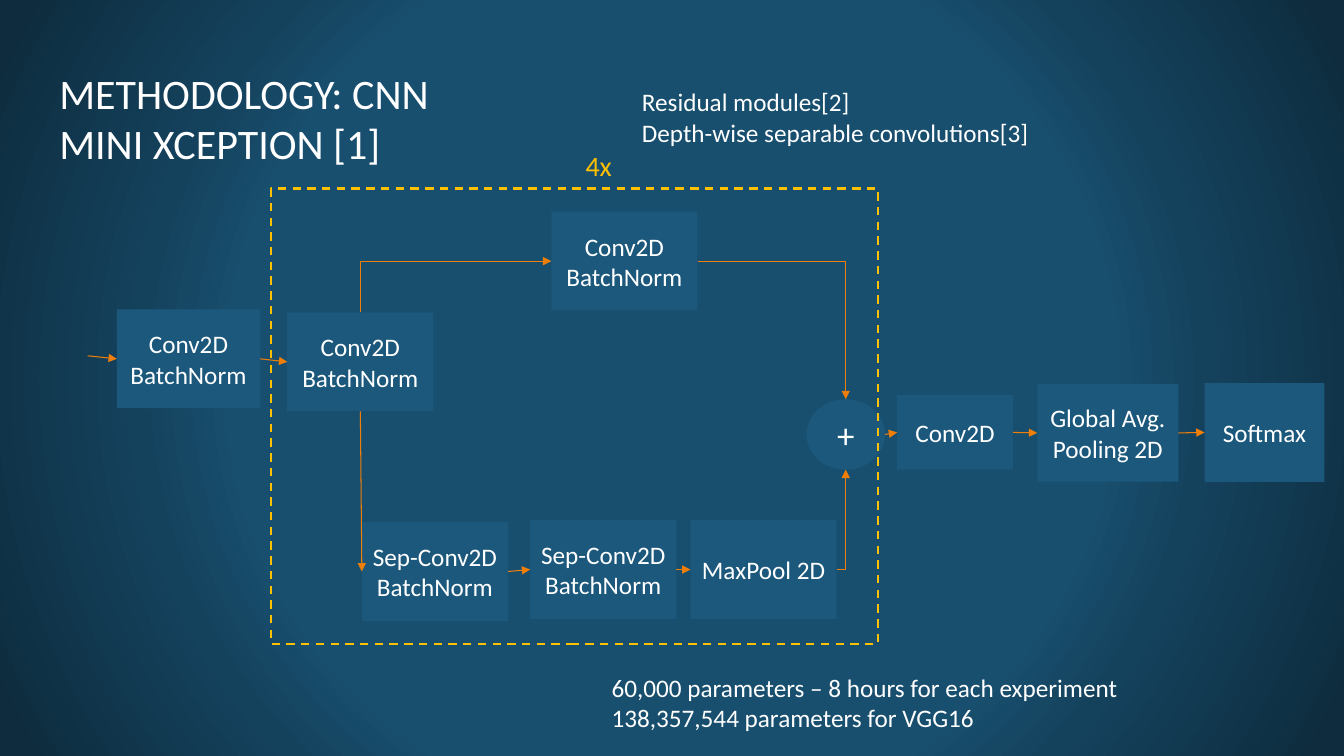
import pptx
import pptx.dml.color
import pptx.enum.dml
import pptx.enum.shapes
import pptx.enum.text
import pptx.oxml
import pptx.oxml.ns
import pptx.util

COLORS = {
    "text": "FFFFFF",
    "block": "1B587C",
    "arrow": "F07F09",
    "accent": "FFC000",
}
BACKGROUND_STOPS = [(0, "184E6E"), (57, "184E6E"), (69, "14425D"), (97, "0E2C3E")]
COLUMNS, ROWS = 133.33, 75

SHAPES = pptx.enum.shapes.MSO_SHAPE
ALIGN = pptx.enum.text.PP_ALIGN
ANCHOR = pptx.enum.text.MSO_ANCHOR
qn = pptx.oxml.ns.qn


def rgb(name):
    return pptx.dml.color.RGBColor.from_string(COLORS[name])


def side(shape, name):
    """Middle of one side of a shape, as (x, y)."""
    middle_x = shape.left + shape.width // 2
    middle_y = shape.top + shape.height // 2
    return {
        "top": (middle_x, shape.top),
        "bottom": (middle_x, shape.top + shape.height),
        "left": (shape.left, middle_y),
        "right": (shape.left + shape.width, middle_y),
    }[name]


class Diagram:
    font = "Calibri"
    body_size = 18

    def __init__(self, presentation):
        self.slide = presentation.slides.add_slide(presentation.slide_layouts[6])
        self.column = presentation.slide_width / COLUMNS
        self.row = presentation.slide_height / ROWS

    def place(self, column, row):
        return round(column * self.column), round(row * self.row)

    def background(self, stops):
        """Radial gradient spreading from the centre of the slide."""
        fill = self.slide.background.fill
        fill.gradient()
        gradient = self.slide.element.find(".//" + qn("a:gradFill"))
        for child in list(gradient):
            gradient.remove(child)
        stop_xml = "".join(
            f'<a:gs pos="{share * 1000}"><a:srgbClr val="{color}"/></a:gs>'
            for share, color in stops
        )
        namespace = pptx.oxml.ns.nsdecls("a")
        gradient.append(pptx.oxml.parse_xml(f"<a:gsLst {namespace}>{stop_xml}</a:gsLst>"))
        gradient.append(pptx.oxml.parse_xml(
            f'<a:path {namespace} path="circle">'
            '<a:fillToRect l="50000" t="50000" r="50000" b="50000"/></a:path>'
        ))

    def add_lines(self, frame, lines, size, color="text", align=ALIGN.LEFT, anchor=ANCHOR.TOP):
        frame.word_wrap = True
        frame.vertical_anchor = anchor
        for index, line in enumerate(lines):
            paragraph = frame.paragraphs[0] if index == 0 else frame.add_paragraph()
            paragraph.alignment = align
            for part, words in enumerate(line.split("\n")):
                if part:
                    paragraph.add_line_break()
                run = paragraph.add_run()
                run.text = words
                run.font.name = self.font
                run.font.size = pptx.util.Pt(size)
                run.font.color.rgb = rgb(color)

    def text(self, column, row, width, height, *lines, size=body_size, **style):
        box = self.slide.shapes.add_textbox(*self.place(column, row), *self.place(width, height))
        self.add_lines(box.text_frame, lines, size, **style)

    def block(self, column, row, width, height, *lines, kind=SHAPES.RECTANGLE, size=body_size):
        shape = self.slide.shapes.add_shape(
            kind, *self.place(column, row), *self.place(width, height)
        )
        shape.shadow.inherit = False
        shape.fill.solid()
        shape.fill.fore_color.rgb = rgb("block")
        shape.line.fill.background()
        self.add_lines(shape.text_frame, lines, size, align=ALIGN.CENTER, anchor=ANCHOR.MIDDLE)
        return shape

    def frame(self, column, row, width, height):
        shape = self.slide.shapes.add_shape(
            SHAPES.RECTANGLE, *self.place(column, row), *self.place(width, height)
        )
        shape.shadow.inherit = False
        shape.fill.background()
        shape.line.color.rgb = rgb("accent")
        shape.line.width = pptx.util.Pt(1.5)
        shape.line.dash_style = pptx.enum.dml.MSO_LINE.DASH

    def arrow(self, start, end, kind=pptx.enum.shapes.MSO_CONNECTOR.STRAIGHT):
        connector = self.slide.shapes.add_connector(kind, *start, *end)
        connector.line.color.rgb = rgb("arrow")
        connector.line.width = pptx.util.Pt(0.75)
        properties = connector.element.spPr
        line = properties.find(qn("a:ln"))
        line.append(line.makeelement(qn("a:tailEnd"), {"type": "triangle"}))
        properties.append(properties.makeelement(qn("a:effectLst"), {}))
        return connector

    def corner_arrow(self, start, end, rising=False):
        """Arrow with one corner: across first, or up and then right if rising."""
        if rising:
            (x1, y1), (x2, y2) = start, end
            middle_x, middle_y = (x1 + x2) // 2, (y1 + y2) // 2
            half_x, half_y = (x2 - x1) // 2, (y1 - y2) // 2
            start = middle_x - half_y, middle_y - half_x
            end = middle_x + half_y, middle_y + half_x
        connector = self.arrow(start, end, pptx.enum.shapes.MSO_CONNECTOR.ELBOW)
        properties = connector.element.spPr
        properties.find(qn("a:prstGeom")).set("prst", "bentConnector2")
        if rising:
            properties.find(qn("a:xfrm")).set("rot", str(270 * 60000))


def main():
    presentation = pptx.Presentation()
    presentation.slide_width = pptx.util.Inches(13.33)
    presentation.slide_height = pptx.util.Inches(7.5)
    diagram = Diagram(presentation)
    diagram.background(BACKGROUND_STOPS)

    diagram.text(4.9, 4.8, 48.5, 13.8, "METHODOLOGY: CNN\nMINI XCEPTION [1]",
                 size=30, anchor=ANCHOR.MIDDLE)

    convolution = ("Conv2D", "BatchNorm")
    separable = ("Sep-Conv2D", "BatchNorm")
    stem = diagram.block(11.6, 30.7, 14.2, 9.8, *convolution)
    entry = diagram.block(28.5, 31, 14.5, 9.8, *convolution)
    shortcut = diagram.block(54.7, 21, 14.5, 9.8, *convolution)
    first_separable = diagram.block(35.9, 51.8, 14.5, 9.8, *separable)
    second_separable = diagram.block(52.6, 51.6, 14.5, 9.8, *separable)
    max_pool = diagram.block(68.5, 51.6, 14.5, 9.8, "MaxPool 2D")
    addition = diagram.block(80, 39.6, 7.8, 7, "+", kind=SHAPES.OVAL, size=25)
    last_convolution = diagram.block(89, 39.2, 11.5, 7.4, "Conv2D")
    average_pool = diagram.block(102.9, 38.1, 14, 9.7, "Global Avg. Pooling 2D")
    softmax = diagram.block(119.5, 38, 11.9, 9.8, "Softmax")

    diagram.arrow(diagram.place(8.7, 35.3), side(stem, "left"))
    chains = [
        (stem, entry),
        (first_separable, second_separable, max_pool),
        (addition, last_convolution, average_pool, softmax),
    ]
    for chain in chains:
        for source, target in zip(chain, chain[1:]):
            diagram.arrow(side(source, "right"), side(target, "left"))
    diagram.arrow(side(entry, "bottom"), side(first_separable, "left"))
    diagram.corner_arrow(side(entry, "top"), side(shortcut, "left"), rising=True)
    diagram.corner_arrow(side(shortcut, "right"), side(addition, "top"))
    diagram.corner_arrow(side(max_pool, "right"), side(addition, "bottom"))

    diagram.frame(26.9, 18.7, 60.2, 45.2)
    diagram.text(57.1, 14.2, 11.4, 4.4, "4x", size=20, color="accent")
    diagram.text(59.7, 66.2, 54.4, 7.1,
                 "60,000 parameters – 8 hours for each experiment",
                 "138,357,544 parameters for VGG16")
    diagram.text(62.7, 8.1, 66.7, 7.1,
                 "Residual modules[2]", "Depth-wise separable convolutions[3]")

    presentation.save("out.pptx")


if __name__ == "__main__":
    main()
